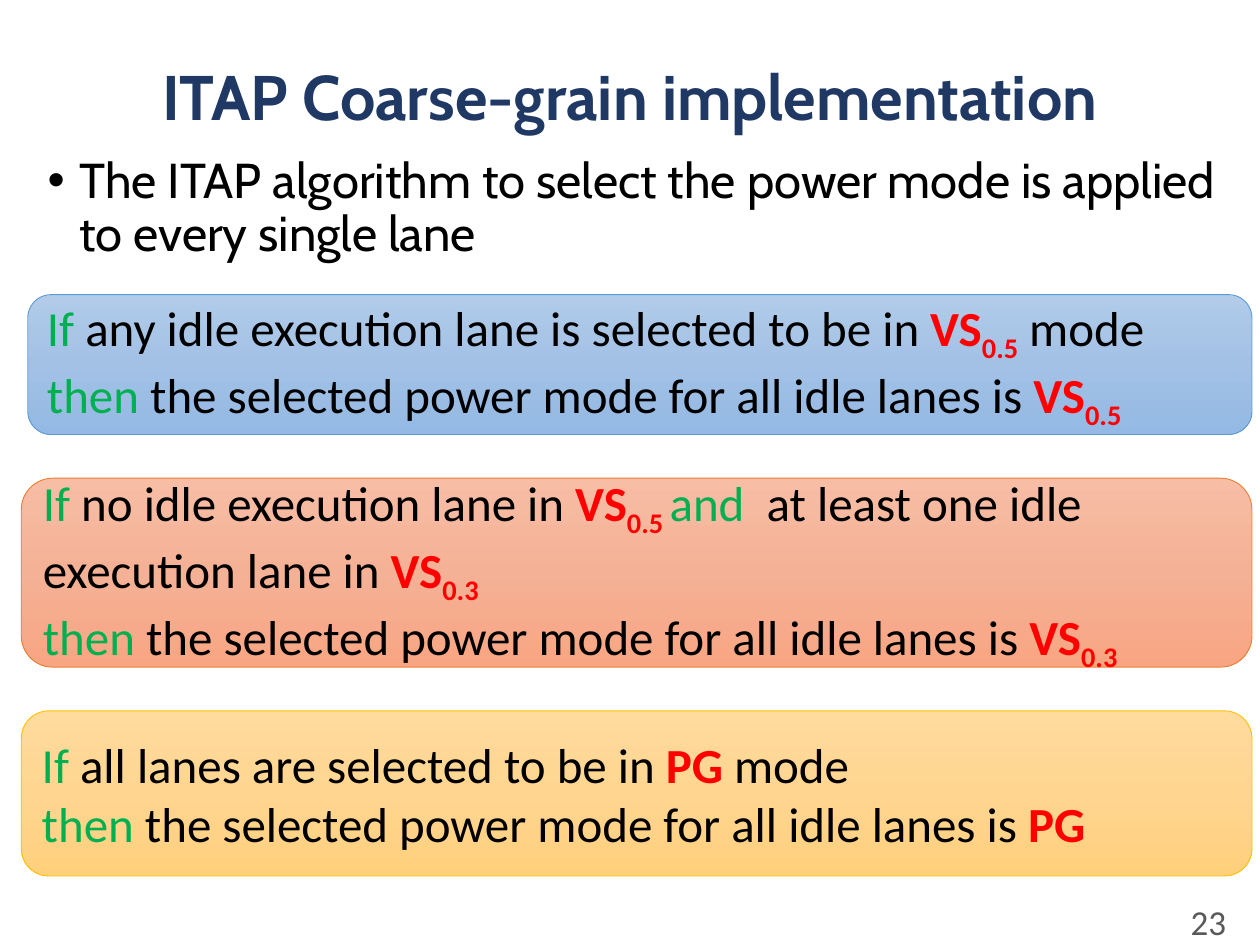
import copy

import pptx
import pptx.dml.color
import pptx.enum.shapes
import pptx.enum.text
import pptx.oxml
import pptx.oxml.ns
import pptx.util

Cm, Pt = pptx.util.Cm, pptx.util.Pt
ALIGN = pptx.enum.text.PP_ALIGN
ANCHOR = pptx.enum.text.MSO_ANCHOR

COLORS = {
    "title": "203864", "text": "000000", "number": "595959",
    "keyword": "00B050", "mode": "FF0000",
}
TITLE = "ITAP Coarse-grain implementation"
INTRO = "The ITAP algorithm to select the power mode is applied to every single lane"
PAGE_NUMBER = "23"

# Each span is (style, words); "sub" is a subscript of a power mode.
CONCLUSION = [("keyword", "then "),
              ("text", "the selected power mode for all idle lanes is ")]
VS_05 = [("mode", "VS"), ("sub", "0.5")]
VS_03 = [("mode", "VS"), ("sub", "0.3")]
PG = [("mode", "PG")]

RULES = [
    {"left": 0.56, "height": 2.82, "line": "5B9BD5",
     "gradient": ["B1CBE9", "A3C1E5", "93B9E4"],
     "lines": [
         [("keyword", "If "),
          ("text", "any idle execution lane is selected to be in "),
          *VS_05, ("text", " mode")],
         CONCLUSION + VS_05]},
    {"left": 0.43, "height": 3.81, "line": "ED7D31",
     "gradient": ["F7BDA5", "F5B196", "F8A582"],
     "lines": [
         [("keyword", "If"), ("text", " no idle execution lane in "),
          ("mode", "VS"), ("sub", "0.5 "), ("keyword", "and"),
          ("text", "  at least one idle execution lane in "), *VS_03],
         CONCLUSION + VS_03]},
    {"left": 0.43, "height": 3.33, "line": "FFC000",
     "gradient": ["FFDB9E", "FFD590", "FFD07C"],
     "lines": [
         [("keyword", "If "), ("text", "all lanes are selected to be in "),
          *PG, ("text", " mode")],
         CONCLUSION + PG]},
]
RULES_TOP, RULES_RIGHT, RULES_GAP = 5.94, 25.24, 0.88


def rgb(value):
    return pptx.dml.color.RGBColor.from_string(value)


def set_font(font, name, size, color, bold=False):
    font.name, font.size, font.bold = name, Pt(size), bold
    font.color.rgb = rgb(color)


def add_text(page, place, words, align=ALIGN.LEFT, anchor=ANCHOR.TOP):
    """Add a wrapping text box and return its paragraph."""
    box = page.shapes.add_textbox(*map(Cm, place))
    frame = box.text_frame
    frame.word_wrap = True
    frame.vertical_anchor = anchor
    frame.text = words
    para = frame.paragraphs[0]
    para.alignment = align
    return para


def add_bullet(para, indent):
    properties = para._p.get_or_add_pPr()
    properties.set("marL", str(indent))
    properties.set("indent", str(-indent))
    namespace = pptx.oxml.ns.nsdecls("a")
    for element in ('<a:buFont %s typeface="Arial"/>', '<a:buChar %s char="•"/>'):
        properties.append(pptx.oxml.parse_xml(element % namespace))


def fill_gradient(shape, colors):
    """Fill from top to bottom with three evenly spaced colours."""
    shape.fill.gradient()
    shape.fill.gradient_angle = 270
    stop_list = shape._element.spPr.find(".//" + pptx.oxml.ns.qn("a:gsLst"))
    stop_list.insert(1, copy.deepcopy(stop_list[0]))
    for index, (stop, color) in enumerate(zip(shape.fill.gradient_stops, colors)):
        stop.position = index / 2
        stop.color.rgb = rgb(color)


def add_rule(page, rule, top):
    left = rule["left"]
    box = page.shapes.add_shape(
        pptx.enum.shapes.MSO_SHAPE.ROUNDED_RECTANGLE,
        Cm(left), Cm(top), Cm(RULES_RIGHT - left), Cm(rule["height"]))
    box.shadow.inherit = False
    fill_gradient(box, rule["gradient"])
    box.line.color.rgb = rgb(rule["line"])
    box.line.width = Pt(0.5)
    frame = box.text_frame
    frame.word_wrap = True
    frame.vertical_anchor = ANCHOR.MIDDLE
    for index, spans in enumerate(rule["lines"]):
        para = frame.add_paragraph() if index else frame.paragraphs[0]
        para.alignment = ALIGN.LEFT
        for style, words in spans:
            span = para.add_run()
            span.text = words
            is_mode = style in ("mode", "sub")
            color = COLORS["mode" if is_mode else style]
            set_font(span.font, "Calibri", 28, color, is_mode)
            if style == "sub":
                span.font._element.set("baseline", "-25000")


def main():
    deck = pptx.Presentation()
    deck.slide_width, deck.slide_height = Cm(25.4), Cm(19.05)
    page = deck.slides.add_slide(deck.slide_layouts[6])

    title = add_text(page, (1.75, 1.02, 21.89, 2.01), TITLE,
                     ALIGN.CENTER, ANCHOR.MIDDLE)
    title.line_spacing = 0.9
    set_font(title.runs[0].font, "Cabin", 36, COLORS["title"], True)

    intro = add_text(page, (0.71, 3.02, 24.69, 15.11), INTRO)
    intro.line_spacing = 0.9
    add_bullet(intro, Cm(0.64))
    set_font(intro.runs[0].font, "Cabin", 28, COLORS["text"])

    number = add_text(page, (19.25, 18.03, 5.72, 1.02), PAGE_NUMBER, ALIGN.RIGHT)
    set_font(number.runs[0].font, "Calibri", 20, COLORS["number"])

    top = RULES_TOP
    for rule in RULES:
        add_rule(page, rule, top)
        top += rule["height"] + RULES_GAP

    deck.save("out.pptx")


if __name__ == "__main__":
    main()
